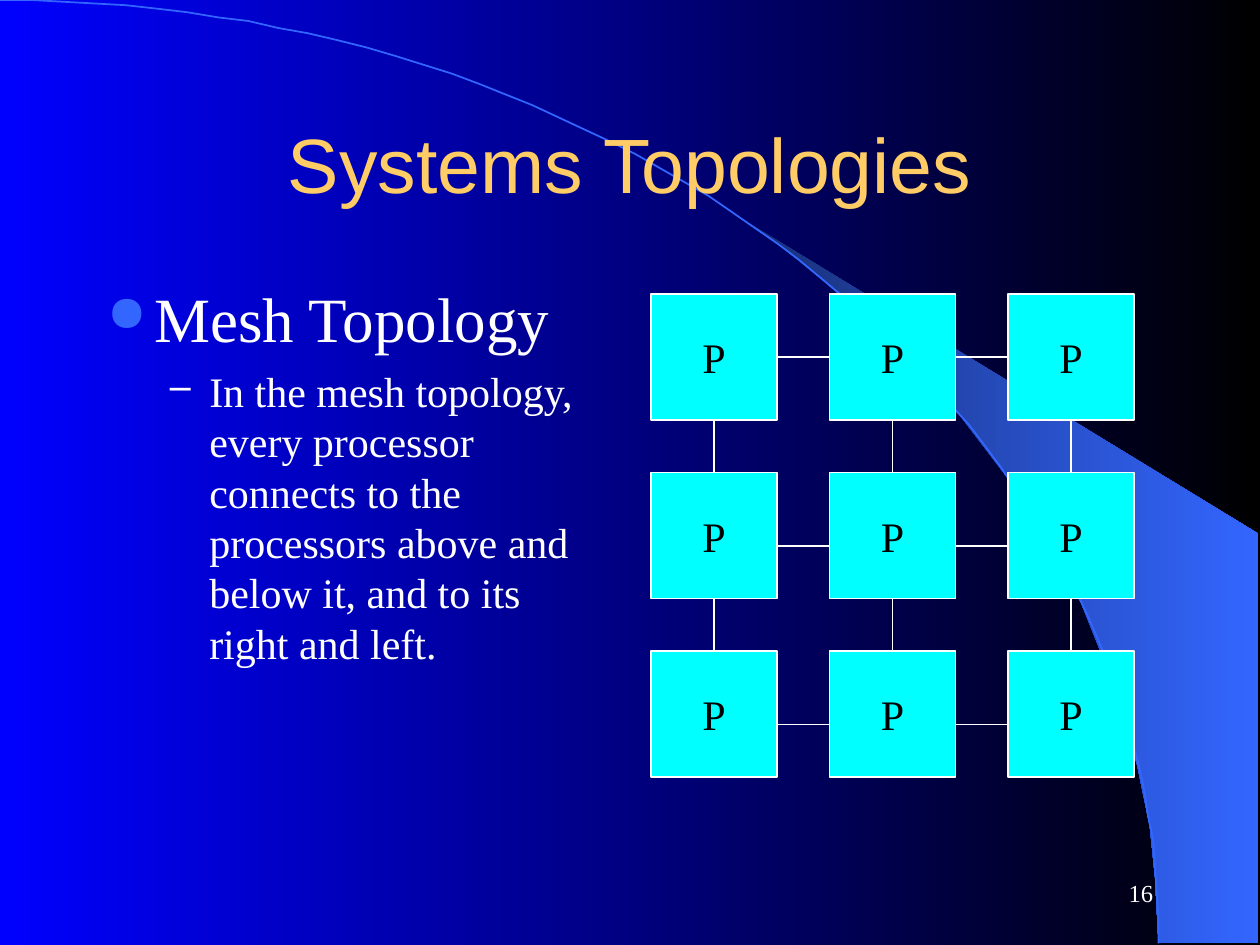
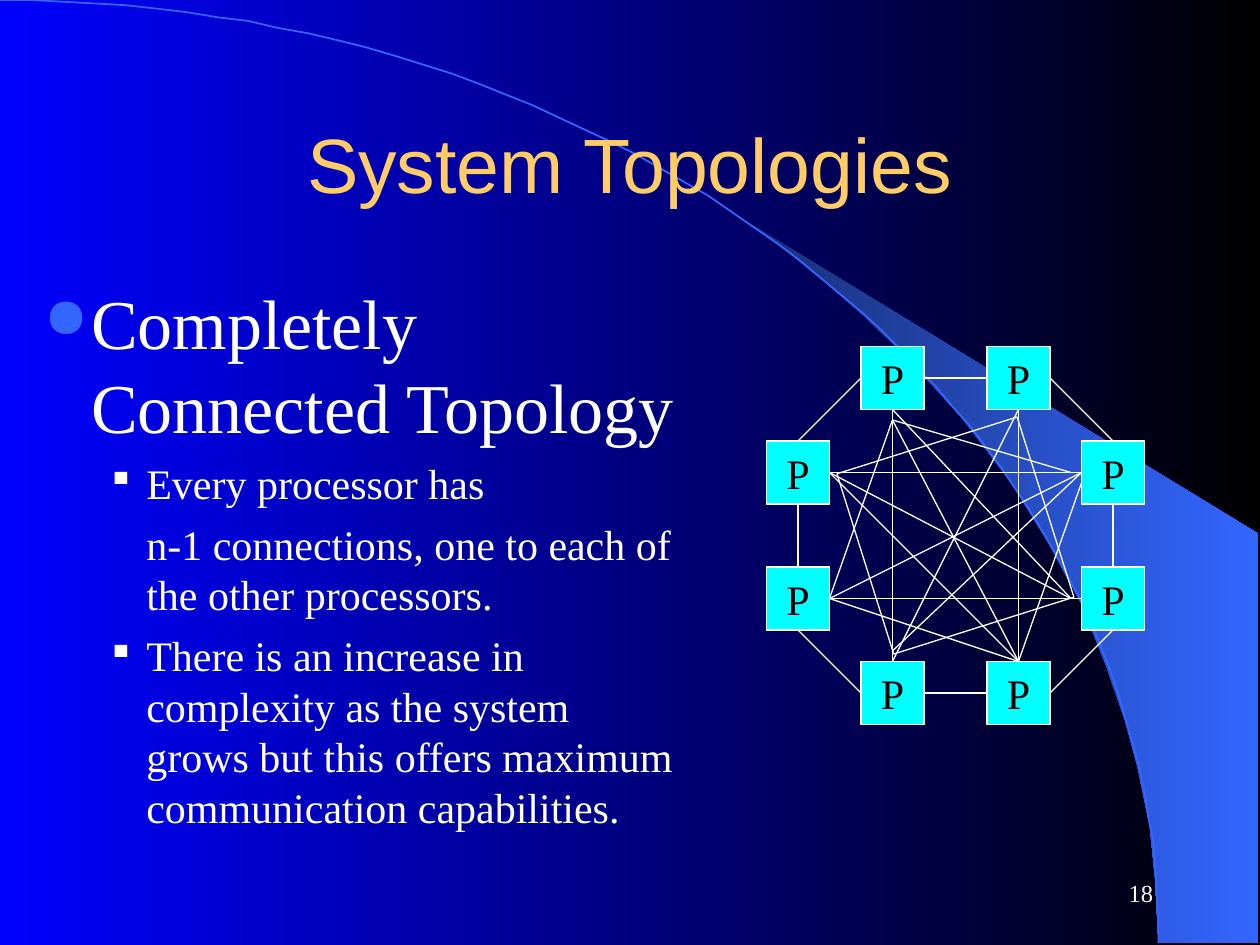
"""Builds two slides on mesh and completely connected processor topologies."""
import lxml.etree
import pptx
import pptx.dml.color
import pptx.enum.shapes
import pptx.enum.text
import pptx.oxml.ns
import pptx.util

Pt = pptx.util.Pt
ALIGN = pptx.enum.text.PP_ALIGN
ANCHOR = pptx.enum.text.MSO_ANCHOR
RECTANGLE = pptx.enum.shapes.MSO_SHAPE.RECTANGLE

SERIF, SANS = "Times New Roman", "Arial"
WHITE, BLACK, CYAN, GOLD = "FFFFFF", "000000", "00FFFF", "FFCC66"
BLUE, NAVY, SKY = "0000FF", "182F76", "3366FF"

BAND = [
    (662.4, 538.6), (719.3, 539.3), (719.3, 304.6), (424.1, 124.6),
    (449.3, 143.3), (470.2, 159.8), (493.2, 180), (515.5, 201.6),
    (548.6, 237.6), (578.2, 276.5), (599, 310.3), (617.8, 344.9),
    (632.2, 380.2), (643, 411.8), (650.2, 438.5), (657.4, 472.3),
    (660.2, 501.1),
]
ARC = [(0, 0), (365.8, 0), (662.4, 241.2), (662.4, 539.3)]
ARC_STEPS = 60

INNER_LINKS = [
    (510, 234, 510, 378), (474, 270, 618, 270), (474, 342, 618, 342),
    (582, 234, 582, 378), (510, 234, 612, 342), (582, 234, 510, 378),
    (474, 270, 612, 342), (618, 270, 510, 372), (618, 270, 474, 342),
    (510, 240, 474, 342), (582, 378, 474, 270), (510, 240, 582, 378),
    (510, 240, 612, 270), (618, 276, 582, 378), (582, 378, 474, 342),
]
OUTER_LINKS = [
    (528, 216, 564, 216), (600, 216, 636, 252), (636, 288, 636, 324),
    (636, 360, 600, 396), (564, 396, 528, 396), (492, 396, 456, 360),
    (456, 324, 456, 288), (456, 252, 492, 216),
]


def color(value):
    """Turn a hex string into a colour."""
    return pptx.dml.color.RGBColor.from_string(value)


def blend(fill, start, end):
    """Fill from left to right with two colours."""
    fill.gradient()
    fill.gradient_angle = 0
    for stop, value, position in zip(fill.gradient_stops, (start, end), (0, 1)):
        stop.color.rgb = color(value)
        stop.position = position


def outline(shape, value, width=0.75):
    """Give a shape or connector a plain line."""
    shape.line.color.rgb = color(value)
    shape.line.width = Pt(width)


def write(frame, text, size, ink=WHITE, font=SERIF, align=ALIGN.LEFT, before=0,
          left=0, hanging=0, bullet=None, bullet_ink=WHITE, bullet_size=90,
          level=0):
    """Add one formatted paragraph to a text frame."""
    para = frame.paragraphs[0]
    if para.runs:
        para = frame.add_paragraph()
    para.alignment = align
    para.level = level
    para.space_before = Pt(before)
    properties = para._p.get_or_add_pPr()
    properties.set("marL", str(Pt(left)))
    properties.set("indent", str(-Pt(hanging)))
    if bullet:
        qn = pptx.oxml.ns.qn
        tint = lxml.etree.SubElement(properties, qn("a:buClr"))
        lxml.etree.SubElement(tint, qn("a:srgbClr"), val=bullet_ink)
        lxml.etree.SubElement(properties, qn("a:buSzPct"), val=str(bullet_size * 1000))
        lxml.etree.SubElement(properties, qn("a:buChar"), char=bullet)
    span = para.add_run()
    span.text = text
    span.font.size = Pt(size)
    span.font.name = font
    span.font.color.rgb = color(ink)


def text_frame(page, left, top, width, height, anchor=ANCHOR.MIDDLE):
    """Add a wrapping text box and return its frame."""
    box = page.shapes.add_textbox(Pt(left), Pt(top), Pt(width), Pt(height))
    box.text_frame.word_wrap = True
    box.text_frame.vertical_anchor = anchor
    return box.text_frame


def heading(frame, text, size, before=0):
    """Add a first-level bullet."""
    write(frame, text, size, before=before, left=27, hanging=27, bullet="●",
          bullet_ink=SKY, bullet_size=80)


def detail(frame, text, bullet=None):
    """Add a second-level paragraph, with or without a bullet."""
    write(frame, text, 24, before=6, left=58.5, hanging=22.5 if bullet else 0,
          bullet=bullet, level=1)


def outline_path(page, points, close):
    """Draw a freeform through the points."""
    builder = page.shapes.build_freeform(*points[0], scale=Pt(1))
    builder.add_line_segments(points[1:], close=close)
    shape = builder.convert_to_shape()
    shape.shadow.inherit = False
    return shape


def arc_point(step):
    """Find a point on the cubic arc."""
    t = step / ARC_STEPS
    weights = ((1 - t) ** 3, 3 * t * (1 - t) ** 2, 3 * t * t * (1 - t), t ** 3)
    return tuple(sum(w * point[axis] for w, point in zip(weights, ARC))
                 for axis in (0, 1))


def new_page(deck, title, number):
    """Add a page with backdrop, title and page number."""
    page = deck.slides.add_slide(deck.slide_layouts[6])
    blend(page.background.fill, BLUE, BLACK)
    band = outline_path(page, BAND, True)
    blend(band.fill, NAVY, SKY)
    band.line.fill.background()
    arc = outline_path(page, [arc_point(s) for s in range(ARC_STEPS + 1)], False)
    arc.fill.background()
    outline(arc, SKY, 1)
    write(text_frame(page, 516, 492, 150, 36), number, 14, align=ALIGN.RIGHT)
    write(text_frame(page, 54, 48, 612, 90), title, 44, ink=GOLD, font=SANS,
          align=ALIGN.CENTER)
    return page


def square(page, left, top, side):
    """Add a white-edged square."""
    shape = page.shapes.add_shape(RECTANGLE, Pt(left), Pt(top), Pt(side), Pt(side))
    shape.shadow.inherit = False
    outline(shape, WHITE)
    return shape


def processor(page, left, top, side):
    """Add a square that stands for a processor."""
    shape = square(page, left, top, side)
    shape.fill.solid()
    shape.fill.fore_color.rgb = color(CYAN)
    shape.text_frame.word_wrap = False
    shape.text_frame.vertical_anchor = ANCHOR.MIDDLE
    write(shape.text_frame, "P", 24, ink=BLACK, align=ALIGN.CENTER)


def link(page, *ends):
    """Connect two points with a thin white line."""
    line = page.shapes.add_connector(
        pptx.enum.shapes.MSO_CONNECTOR.STRAIGHT, *map(Pt, ends))
    outline(line, WHITE)
    lxml.etree.SubElement(line._element.spPr, pptx.oxml.ns.qn("a:effectLst"))


def mesh_diagram(page):
    """Draw a three by three mesh of processors."""
    left, top, side, pitch = 372, 168, 72, 102
    columns = [left + pitch * i for i in range(3)]
    rows = [top + pitch * i for i in range(3)]
    for y in rows:
        for x in columns:
            processor(page, x, y, side)
    for x in columns:
        for y in rows[:-1]:
            link(page, x + side / 2, y + side, x + side / 2, y + pitch)
    for y in (204, 312, 414):
        for x in columns[:-1]:
            link(page, x + side, y, x + pitch, y)


def complete_diagram(page):
    """Draw eight processors, each linked to all others."""
    for x, y in ((492, 198), (438, 252)):
        for left in (x, 1056 - x):
            for top in (y, 576 - y):
                processor(page, left, top, 36)
    tilted = square(page, 492, 252, 108)
    tilted.fill.background()
    tilted.rotation = 342.5
    for ends in INNER_LINKS + OUTER_LINKS:
        link(page, *ends)


def main():
    """Build and save the deck."""
    deck = pptx.Presentation()
    deck.slide_width, deck.slide_height = Pt(720), Pt(540)

    page = new_page(deck, "Systems Topologies", "16")
    body = text_frame(page, 54, 156, 300, 324, ANCHOR.TOP)
    heading(body, "Mesh Topology", 36)
    detail(body, "In the mesh topology, every processor connects to the "
                 "processors above and below it, and to its right and left.", "–")
    mesh_diagram(page)

    page = new_page(deck, "System Topologies", "18")
    body = text_frame(page, 18, 156, 378, 324, ANCHOR.TOP)
    heading(body, "Completely Connected Topology", 40)
    detail(body, "Every processor has", "▪")
    detail(body, "n-1 connections, one to each of the other processors.")
    detail(body, "There is an increase in complexity as the system grows but "
                 "this offers maximum communication capabilities.", "▪")
    complete_diagram(page)

    deck.save("out.pptx")


if __name__ == "__main__":
    main()
